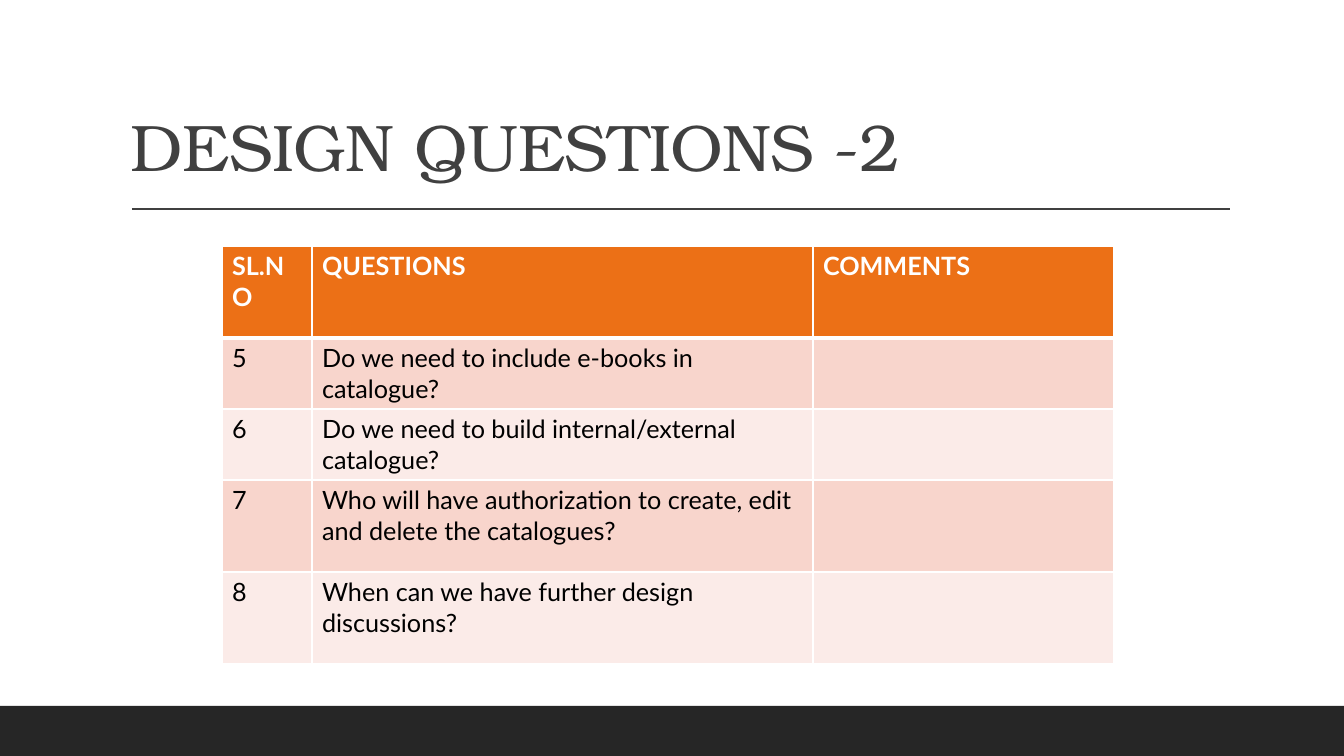
"""Build the design questions slide with its table."""
from lxml.etree import SubElement
from pptx import Presentation
from pptx.dml.color import RGBColor
from pptx.enum.shapes import MSO_CONNECTOR, MSO_SHAPE
from pptx.enum.text import MSO_ANCHOR
from pptx.oxml.ns import qn
from pptx.util import Pt

TITLE = "DESIGN QUESTIONS -2"
ROWS = [
    ("SL.NO", "QUESTIONS", "COMMENTS"),
    ("5", "Do we need to include e-books in catalogue?", ""),
    ("6", "Do we need to build internal/external catalogue?", ""),
    ("7", "Who will have authorization to create, edit and delete the catalogues?", ""),
    ("8", "When can we have further design discussions?", ""),
]
WIDTHS = [90, 501, 301]
HEIGHTS = [92, 71, 71, 92, 92]
HEAD, BANDS = "EC7016", ("F8D5CC", "FBEBE8")
WHITE, BLACK, GREY, DARK = "FFFFFF", "000000", "404040", "262626"


def px(count):
    return round(count * 914400 / 100.8)


def color(code):
    return RGBColor.from_string(code)


def style(para, font, size, code, bold=False):
    for run in para.runs:
        run.font.name = font
        run.font.size = Pt(size)
        run.font.bold = bold
        run.font.color.rgb = color(code)


def border(cell, side, width):
    props = cell._tc.get_or_add_tcPr()
    line = SubElement(props, qn("a:" + side), w=str(Pt(width)))
    fill = SubElement(line, qn("a:solidFill"))
    SubElement(fill, qn("a:srgbClr"), val=WHITE)


deck = Presentation()
deck.slide_width, deck.slide_height = px(1344), px(756)
slide = deck.slides.add_slide(deck.slide_layouts[6])
shapes = slide.shapes

footer = shapes.add_shape(MSO_SHAPE.RECTANGLE, 0, px(706), px(1344), px(50))
footer.shadow.inherit = False
footer.fill.solid()
footer.fill.fore_color.rgb = color(DARK)
footer.line.fill.background()

rule = shapes.add_connector(MSO_CONNECTOR.STRAIGHT, px(132), px(209), px(1230), px(209))
rule.line.color.rgb = color(GREY)
rule.line.width = Pt(1)
SubElement(rule._element.spPr, qn("a:effectLst"))

title = shapes.add_textbox(px(121), px(31), px(1109), px(160))
frame = title.text_frame
frame.word_wrap = True
frame.vertical_anchor = MSO_ANCHOR.BOTTOM
frame.text = TITLE
para = frame.paragraphs[0]
para.line_spacing = 0.9
style(para, "TeX Gyre Bonum", 47, GREY)
para.runs[0].font._element.set("spc", "-50")

holder = shapes.add_table(len(ROWS), len(WIDTHS), px(222), px(246),
                          px(sum(WIDTHS)), px(sum(HEIGHTS)))
table = holder.table
for column, width in zip(table.columns, WIDTHS):
    column.width = px(width)
for row, height in zip(table.rows, HEIGHTS):
    row.height = px(height)
for r, words in enumerate(ROWS):
    top = r == 0
    for c, text in enumerate(words):
        cell = table.cell(r, c)
        cell.text = text
        style(cell.text_frame.paragraphs[0], "Lato", 18, WHITE if top else BLACK, top)
        for side in ("lnL", "lnR", "lnT", "lnB"):
            thick = (top and side == "lnB") or (r == 1 and side == "lnT")
            border(cell, side, 3 if thick else 1)
        cell.fill.solid()
        cell.fill.fore_color.rgb = color(HEAD if top else BANDS[(r - 1) % 2])

deck.save("out.pptx")
